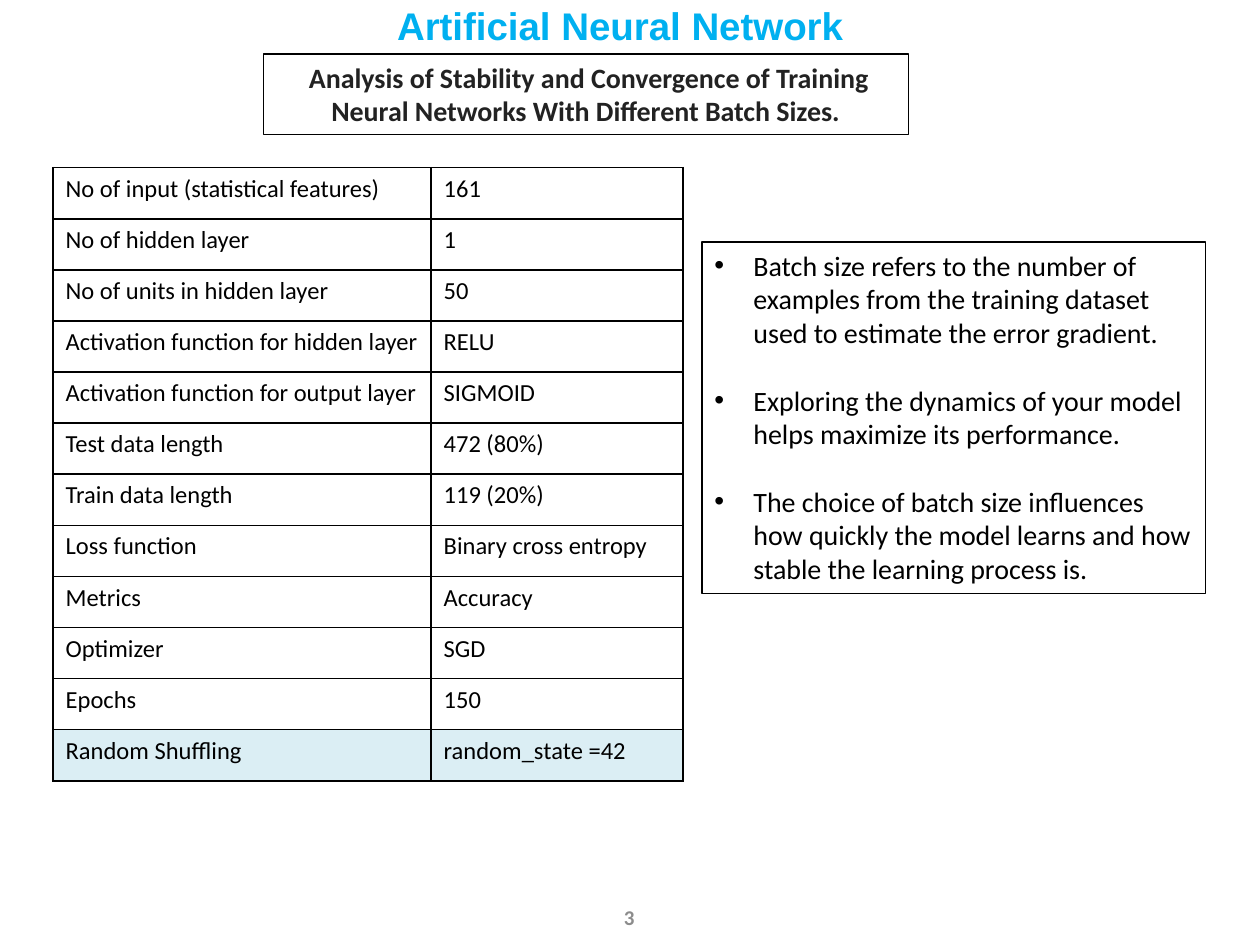
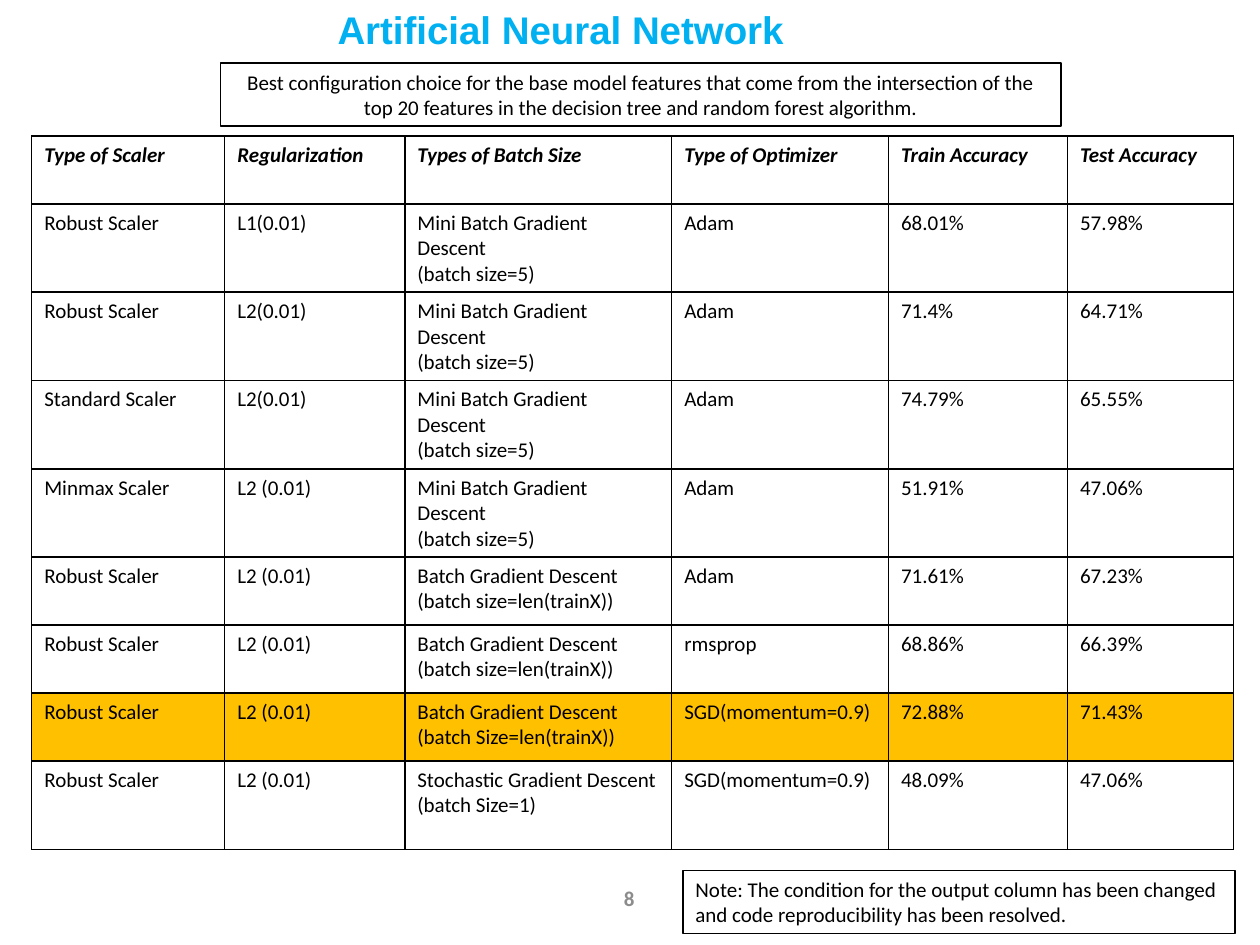
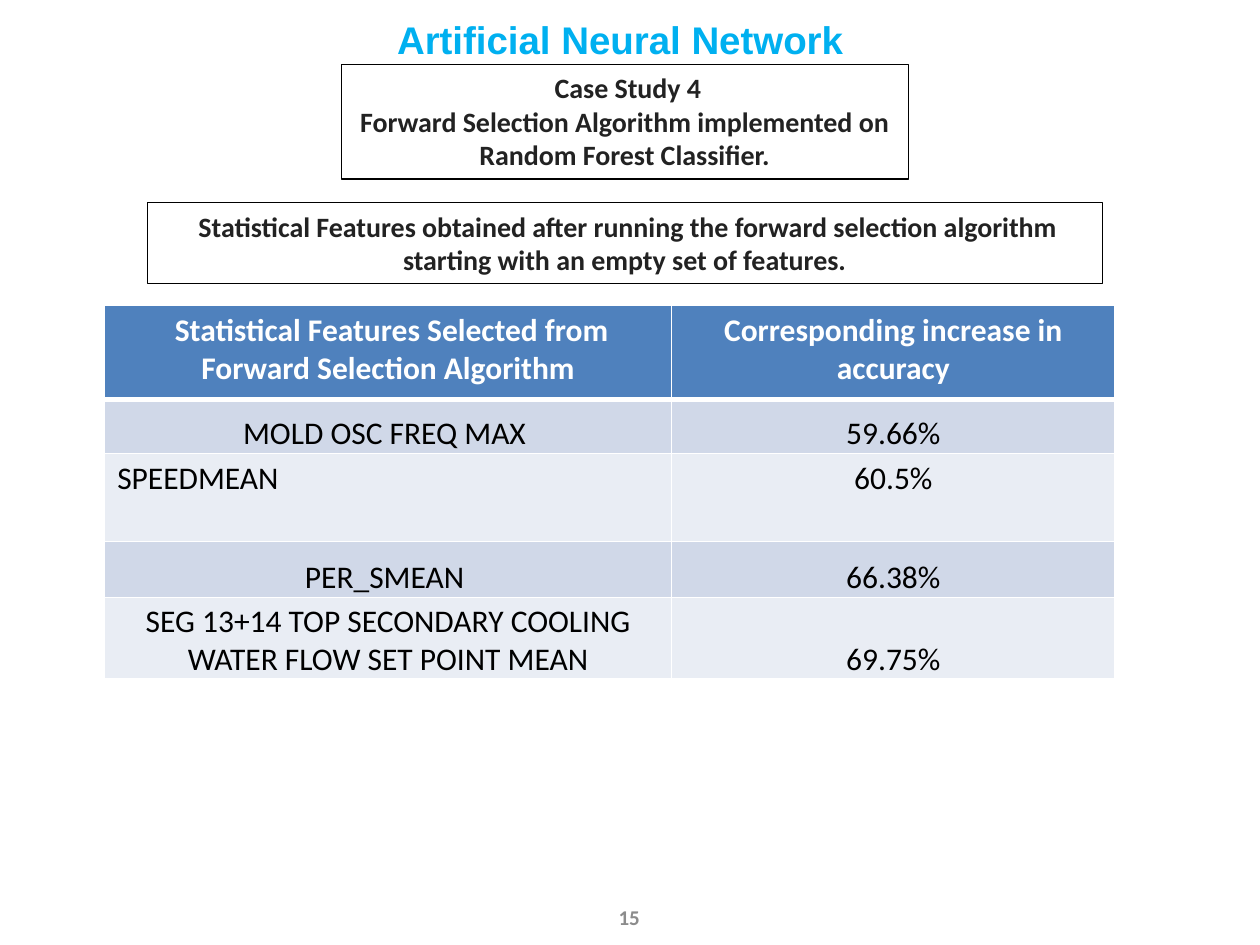
from lxml.etree import SubElement
from pptx import Presentation
from pptx.dml.color import RGBColor as RGB
from pptx.enum.shapes import MSO_SHAPE as SHAPE
from pptx.enum.text import MSO_ANCHOR as ANCHOR, MSO_AUTO_SIZE as AUTO, PP_ALIGN as ALIGN
from pptx.oxml import parse_xml
from pptx.oxml.ns import nsdecls, qn
from pptx.util import Cm, Pt

COLORS = {
    "title": "00B0F0", "heading": "222222", "text": "000000", "number": "8C8C8C",
    "white": "FFFFFF", "shuffle": "DBEEF4", "best": "FFC000",
    "header": "4F81BD", "band": "D0D8E8", "light": "E9EDF4",
}
C = {name: RGB.from_string(value) for name, value in COLORS.items()}
TITLE = {"name": "Arial", "size": Pt(22), "bold": True, "color": "title"}
NUMBER = {"name": "Calibri", "size": Pt(12), "bold": True, "color": "number"}
HEADING = {"name": "Calibri", "size": Pt(16), "bold": True, "color": "heading"}
BODY = {"name": "Calibri", "size": Pt(16), "bold": False, "color": "text"}
SMALL = {**BODY, "size": Pt(12)}


def write(tf, text, fmt, align=ALIGN.LEFT):
    tf.word_wrap = True
    for i, line in enumerate(text.split("\n")):
        p = tf.paragraphs[0] if i == 0 else tf.add_paragraph()
        p.alignment = align
        r = p.add_run()
        r.text = line
        for key, value in fmt.items():
            if key == "color":
                r.font.color.rgb = C[value]
            else:
                setattr(r.font, key, value)


def add_grid(s, left, top, widths, heights, rows, fmt, head_fmt,
             fills, line="text", head_rule=1, align=ALIGN.LEFT):
    tbl = s.shapes.add_table(len(rows), len(widths), Cm(left), Cm(top),
                             Cm(sum(widths)), Cm(sum(heights))).table
    tbl.first_row = tbl.horz_banding = False
    for col, width in zip(tbl.columns, widths):
        col.width = Cm(width)
    for i, row in enumerate(rows):
        tbl.rows[i].height = Cm(heights[i])
        for j, text in enumerate(row):
            cell = tbl.cell(i, j)
            write(cell.text_frame, text, fmt if i else head_fmt, align)
            tcPr = cell._tc.get_or_add_tcPr()
            for side in "LRTB":
                width = head_rule if (i, side) in ((0, "B"), (1, "T")) else 1
                ln = SubElement(tcPr, qn(f"a:ln{side}"), w=str(Pt(width)))
                fill = SubElement(ln, qn("a:solidFill"))
                SubElement(fill, qn("a:srgbClr"), val=COLORS[line])
            cell.fill.solid()
            cell.fill.fore_color.rgb = C[fills[i]]
    return tbl


prs = Presentation()
prs.slide_width, prs.slide_height = Cm(25.4), Cm(19.05)

slides = []
for number, title_left, title_top, number_top in (
        ("3", 7.75, -0.08, 17.98), ("8", 6.55, 0, 17.6), ("15", 7.75, 0.2, 17.98)):
    s = prs.slides.add_slide(prs.slide_layouts[5])
    title = s.shapes.title
    title.left, title.top, title.width, title.height = map(Cm, (title_left, title_top, 11.63, 0.69))
    tf = title.text_frame
    tf.vertical_anchor, tf.auto_size = ANCHOR.TOP, AUTO.SHAPE_TO_FIT_TEXT
    write(tf, "Artificial Neural Network", TITLE)
    tf = s.shapes.add_textbox(Cm(11.81), Cm(number_top), Cm(1.75), Cm(1.02)).text_frame
    tf.vertical_anchor = ANCHOR.MIDDLE
    write(tf, number, NUMBER, ALIGN.CENTER)
    slides.append(s)
settings, results, features = slides

parameters = [
    ("No of input (statistical features)", "161"),
    ("No of hidden layer", "1"),
    ("No of units in hidden layer", "50"),
    ("Activation function for hidden layer", "RELU"),
    ("Activation function for output layer", "SIGMOID"),
    ("Test data length", "472 (80%)"),
    ("Train data length", "119 (20%)"),
    ("Loss function", "Binary cross entropy"),
    ("Metrics", "Accuracy"),
    ("Optimizer", "SGD"),
    ("Epochs", "150"),
    ("Random Shuffling", "random_state =42"),
]
cell_fmt = {**BODY, "size": Pt(14)}
add_grid(settings, 1.07, 3.38, [7.62, 5.08], [1.03] * 12, parameters,
         cell_fmt, cell_fmt, ["white"] * 11 + ["shuffle"])

mini = "Mini Batch Gradient Descent\n(batch size=5)"
batch = "Batch Gradient Descent\n(batch size=len(trainX))"
runs = [
    ("Type of Scaler", "Regularization", "Types of Batch Size", "Type of Optimizer",
     "Train Accuracy", "Test Accuracy"),
    ("Robust Scaler", "L1(0.01)", mini, "Adam", "68.01%", "57.98%"),
    ("Robust Scaler", "L2(0.01)", mini, "Adam", "71.4%", "64.71%"),
    ("Standard Scaler", "L2(0.01)", mini, "Adam", "74.79%", "65.55%"),
    ("Minmax Scaler", "L2 (0.01)", mini, "Adam", "51.91%", "47.06%"),
    ("Robust Scaler", "L2 (0.01)", batch, "Adam", "71.61%", "67.23%"),
    ("Robust Scaler", "L2 (0.01)", batch, "rmsprop", "68.86%", "66.39%"),
    ("Robust Scaler", "L2 (0.01)", batch.replace("size", "Size"), "SGD(momentum=0.9)",
     "72.88%", "71.43%"),
    ("Robust Scaler", "L2 (0.01)", "Stochastic Gradient Descent\n(batch Size=1)",
     "SGD(momentum=0.9)", "48.09%", "47.06%"),
]
add_grid(results, 0.64, 2.74, [3.89, 3.63, 5.38, 4.37, 3.61, 3.35],
         [1.37] + [1.78] * 4 + [1.37] * 3 + [1.78], runs, SMALL,
         {**SMALL, "bold": True, "italic": True}, ["white"] * 7 + ["best", "white"])

selected = [
    (" Statistical Features Selected from Forward Selection Algorithm",
     "Corresponding increase in accuracy"),
    ("MOLD OSC FREQ MAX ", "59.66%"),
    ("SPEEDMEAN", "60.5%"),
    ("PER_SMEAN ", "66.38%"),
    ("SEG 13+14 TOP SECONDARY COOLING WATER FLOW SET POINT MEAN", "69.75%"),
]
cell_fmt = {**BODY, "size": Pt(18)}
tbl = add_grid(features, 2.11, 6.15, [11.43, 8.94], [1.9, 1.09, 1.78, 1.12, 1.65], selected,
               cell_fmt, {**cell_fmt, "bold": True, "color": "white"},
               ["header", "band", "light", "band", "light"], "white", 3, ALIGN.CENTER)
tbl.cell(2, 0).text_frame.paragraphs[0].alignment = ALIGN.LEFT
for i in (1, 3, 4):
    for cell in tbl.rows[i].cells:
        cell.vertical_anchor = ANCHOR.BOTTOM
        cell.margin_left = cell.margin_right = cell.margin_top = Cm(0.03)
        cell.margin_bottom = 0

boxes = [
    (settings, (5.31, 1.09, 13, 1.63), HEADING, ALIGN.CENTER,
     " Analysis of Stability and Convergence of Training Neural Networks "
     "With Different Batch Sizes."),
    (results, (4.45, 1.27, 16.94, 1.27), SMALL, ALIGN.CENTER,
     "Best configuration choice for the base model features that come from the intersection "
     "of the top 20 features in the decision tree and random forest algorithm."),
    (results, (13.77, 17.55, 11.13, 1.27), SMALL, ALIGN.LEFT,
     "Note: The condition for the output column has been changed "
     "and code reproducibility has been resolved."),
    (features, (2.97, 4.09, 19.25, 1.63), HEADING, ALIGN.CENTER,
     " Statistical Features obtained after running the forward selection algorithm "
     "starting with an empty set of features."),
    (features, (6.88, 1.3, 11.43, 2.31), HEADING, ALIGN.CENTER,
     " Case Study 4\nForward Selection Algorithm implemented on Random Forest Classifier."),
    (settings, (14.15, 4.88, 10.16, 7.09), BODY, ALIGN.LEFT,
     "Batch size refers to the number of examples from the training dataset "
     "used to estimate the error gradient.\n"
     "Exploring the dynamics of your model helps maximize its performance.\n"
     "The choice of batch size influences how quickly the model learns "
     "and how stable the learning process is."),
]
for s, at, fmt, align, text in boxes:
    sp = s.shapes.add_shape(SHAPE.RECTANGLE, *map(Cm, at))
    sp.shadow.inherit = False
    sp.fill.background()
    sp.line.color.rgb, sp.line.width = C["text"], Pt(0.75)
    tf = sp.text_frame
    tf.vertical_anchor, tf.auto_size = ANCHOR.TOP, AUTO.SHAPE_TO_FIT_TEXT
    write(tf, text, fmt, align)

for i, p in enumerate(tf.paragraphs):
    p.space_before = Pt(19.5 if i else 0)
    pPr = p._p.get_or_add_pPr()
    pPr.set("marL", str(Cm(0.79)))
    pPr.set("indent", str(Cm(-0.79)))
    pPr.append(parse_xml(f'<a:buFont {nsdecls("a")} typeface="Arial"/>'))
    pPr.append(parse_xml(f'<a:buChar {nsdecls("a")} char="•"/>'))

prs.save("out.pptx")
